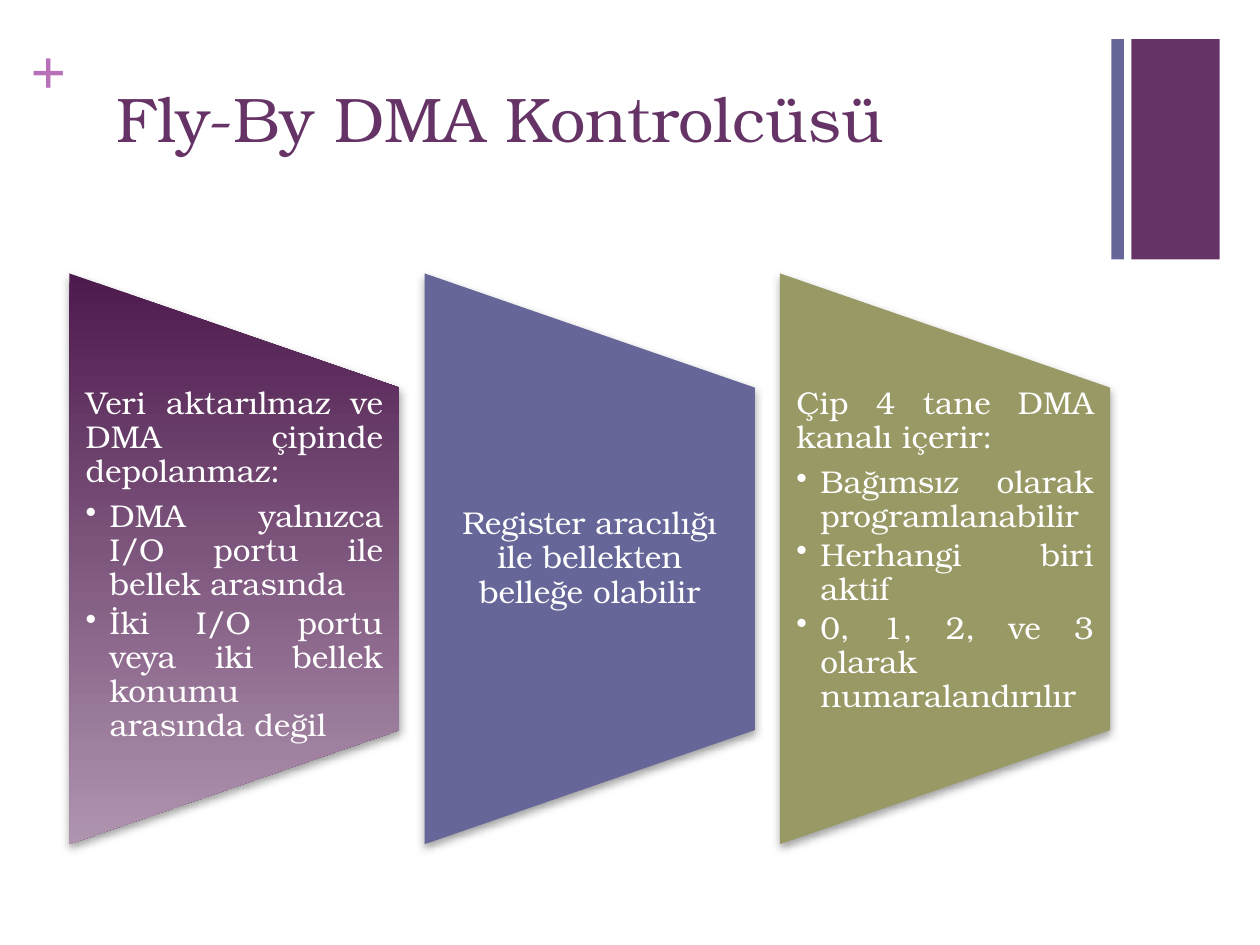
from lxml import etree
from pptx import Presentation
from pptx.dml.color import RGBColor
from pptx.enum.shapes import MSO_SHAPE
from pptx.enum.text import MSO_ANCHOR, PP_ALIGN
from pptx.oxml import parse_xml
from pptx.oxml.ns import qn
from pptx.util import Inches, Pt

RECTANGLE = MSO_SHAPE.RECTANGLE
TRAPEZOID = MSO_SHAPE.FLOWCHART_MANUAL_OPERATION
TOP, MIDDLE = MSO_ANCHOR.TOP, MSO_ANCHOR.MIDDLE
LEFT, CENTER, JUSTIFY = PP_ALIGN.LEFT, PP_ALIGN.CENTER, PP_ALIGN.JUSTIFY

PLUM = RGBColor(0x66, 0x33, 0x66)
DARK_PLUM = RGBColor(0x4D, 0x1A, 0x4D)
PALE_PLUM = RGBColor(0xAF, 0x94, 0xAF)
ORCHID = RGBColor(0xB8, 0x70, 0xB8)
SLATE = RGBColor(0x66, 0x66, 0x99)
OLIVE = RGBColor(0x99, 0x99, 0x66)
WHITE = RGBColor(0xFF, 0xFF, 0xFF)

SERIF = "TeX Gyre Bonum"
SHADOW = (
    '<a:effectLst xmlns:a="http://schemas.openxmlformats.org/drawingml/2006/main">'
    '<a:outerShdw blurRad="63500" dist="25400" dir="5400000" rotWithShape="0">'
    '<a:srgbClr val="808080"><a:alpha val="75000"/></a:srgbClr>'
    "</a:outerShdw></a:effectLst>"
)

PANELS = [
    ("Veri aktarılmaz ve DMA çipinde depolanmaz:",
     ["DMA yalnızca I/O portu ile bellek arasında",
      "İki I/O portu veya iki bellek konumu arasında değil"],
     (DARK_PLUM, PALE_PLUM)),
    ("Register aracılığı ile bellekten belleğe olabilir", [], (SLATE,)),
    ("Çip 4 tane DMA kanalı içerir:",
     ["Bağımsız olarak programlanabilir",
      "Herhangi biri aktif",
      "0, 1, 2, ve 3 olarak numaralandırılır"],
     (OLIVE,)),
]


def add_text_box(page, left, top, width, height, anchor=TOP, margins=(0, 0), wrap=True):
    """Add an empty text box and return its text frame."""
    box = page.shapes.add_textbox(Inches(left), Inches(top), Inches(width), Inches(height))
    frame = box.text_frame
    frame.word_wrap = wrap
    frame.vertical_anchor = anchor
    frame.margin_left = frame.margin_right = Inches(margins[0])
    frame.margin_top = frame.margin_bottom = Inches(margins[1])
    return frame


def write(para, text, size=18, font=SERIF, color=WHITE, bold=False,
          align=LEFT, spacing=None, after=0, bullet=False):
    """Fill one paragraph with formatted text."""
    if bullet:
        properties = para._p.get_or_add_pPr()
        properties.set("marL", str(Inches(0.19)))
        properties.set("indent", str(-Inches(0.19)))
        etree.SubElement(properties, qn("a:buChar")).set("char", "•")
    para.alignment = align
    para.line_spacing = spacing
    para.space_after = Pt(after)
    span = para.add_run()
    span.text = text
    span.font.size = Pt(size)
    span.font.name = font
    span.font.bold = bold
    span.font.color.rgb = color


def add_block(page, kind, left, top, width, height, colors):
    """Add an unlined shape with a solid or a downward gradient fill."""
    shape = page.shapes.add_shape(
        kind, Inches(left), Inches(top), Inches(width), Inches(height))
    shape.shadow.inherit = False
    shape.line.fill.background()
    if len(colors) == 1:
        shape.fill.solid()
        shape.fill.fore_color.rgb = colors[0]
    else:
        shape.fill.gradient()
        shape.fill.gradient_angle = 270
        for stop, color, position in zip(shape.fill.gradient_stops, colors, (0, 1)):
            stop.color.rgb = color
            stop.position = position
        shape._element.spPr.find(qn("a:gradFill")).set("rotWithShape", "0")
    return shape


def add_corner_bars(page, left, top, width, height):
    """Draw the thin and the wide bar in the top right corner."""
    add_block(page, RECTANGLE, left + width - 0.7, top, 0.7, height, (PLUM,))
    add_block(page, RECTANGLE, left, top, 0.1, height, (SLATE,))


def add_heading(page, left, top, width, height):
    """Place the plus sign and the title."""
    plus = add_text_box(page, left, top, 0.29, 0.61, wrap=False)
    write(plus.paragraphs[0], "+", size=36, font="Times New Roman", color=ORCHID, bold=True)
    title = add_text_box(page, left + 0.59, top + 0.33, width - 0.59, height - 0.33,
                         margins=(0.1, 0.05))
    write(title.paragraphs[0], "Fly-By DMA Kontrolcüsü", size=36, color=PLUM)


def add_panel(page, left, top, width, height, lead, points, colors):
    """Draw one sideways trapezoid with its text."""
    shape = add_block(page, TRAPEZOID, left + (width - height) / 2,
                      top + (height - width) / 2, height, width, colors)
    shape.rotation = 270
    properties = shape._element.spPr
    properties.replace(properties.find(qn("a:effectLst")), parse_xml(SHADOW))

    frame = add_text_box(page, left, top + height / 5, width, height * 0.6,
                         anchor=TOP if points else MIDDLE, margins=(0.13, 0))
    write(frame.paragraphs[0], lead, align=JUSTIFY if points else CENTER,
          spacing=0.9, after=6.3)
    for point in points:
        write(frame.add_paragraph(), point, align=JUSTIFY, spacing=0.9,
              after=2.7, bullet=True)


def add_panel_row(page, left, top, width, height, gap):
    """Spread the panels evenly across the row."""
    panel_width = (width - gap * (len(PANELS) - 1)) / len(PANELS)
    for index, (lead, points, colors) in enumerate(PANELS):
        add_panel(page, left + index * (panel_width + gap), top, panel_width, height,
                  lead, points, colors)


def main():
    """Build and save the deck."""
    deck = Presentation()
    deck.slide_width, deck.slide_height = Inches(10), Inches(7.5)
    page = deck.slides.add_slide(deck.slide_layouts[6])
    add_corner_bars(page, 8.82, 0.31, 0.86, 1.75)
    add_heading(page, 0.24, 0.25, 8.85, 1.55)
    add_panel_row(page, 0.55, 2.17, 8.26, 4.53, gap=0.2)
    deck.save("out.pptx")


if __name__ == "__main__":
    main()
